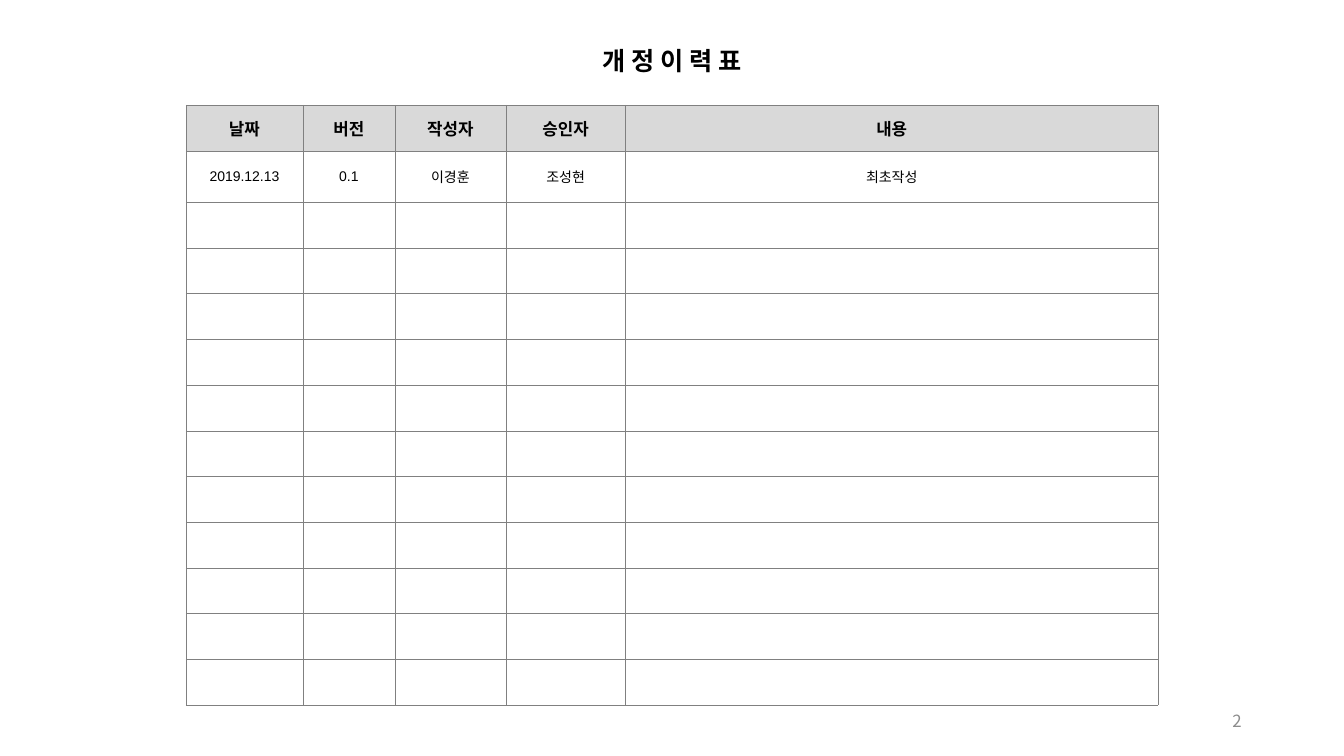
from lxml import etree
from pptx import Presentation
from pptx.dml.color import RGBColor
from pptx.enum import text
from pptx.oxml import ns
from pptx.util import Pt

HUES = {"ink": "000000", "head": "D9D9D9", "rule": "808080", "page": "8C8C8C"}
SANS = "Noto Sans CJK KR"
ALIGN = text.PP_ALIGN


def write(frame, words, size=10, font=SANS, hue="ink", bold=False, align=ALIGN.CENTER):
    para = frame.paragraphs[0]
    para.alignment = align
    run = para.add_run()
    run.text = words
    run.font.size = Pt(size)
    run.font.bold = bold
    run.font.name = font
    run.font.color.rgb = RGBColor.from_string(HUES[hue])
    east = etree.SubElement(run._r.get_or_add_rPr(), ns.qn("a:ea"))
    east.set("typeface", SANS)


def border(cell):
    props = cell._tc.get_or_add_tcPr()
    for side in ("lnL", "lnR", "lnT", "lnB"):
        line = etree.SubElement(props, ns.qn(f"a:{side}"), w=str(Pt(0.25)))
        fill = etree.SubElement(line, ns.qn("a:solidFill"))
        etree.SubElement(fill, ns.qn("a:srgbClr"), val=HUES["rule"])


deck = Presentation()
deck.slide_width, deck.slide_height = Pt(960), Pt(540)
slide = deck.slides.add_slide(deck.slide_layouts[6])

# Revision table
heads = ["날짜", "버전", "작성자", "승인자", "내용"]
first = ["2019.12.13", "0.1", "이경훈", "조성현", "최초작성"]
rows = [heads, first] + [[""] * 5] * 11
wides = [83.6, 65.6, 79.4, 85.2, 380.8]
talls = [32.68, 36.6] + [32.68] * 11

table = slide.shapes.add_table(
    len(rows), len(heads), Pt(132.8), Pt(75.1), Pt(sum(wides)), Pt(sum(talls))
).table
table.first_row = table.horz_banding = False
for col, wide in zip(table.columns, wides):
    col.width = Pt(wide)
for row, tall in zip(table.rows, talls):
    row.height = Pt(tall)

for r, row in enumerate(rows):
    for c, words in enumerate(row):
        cell = table.cell(r, c)
        cell.margin_left = cell.margin_right = Pt(2.8)
        cell.margin_top = cell.margin_bottom = Pt(2.8)
        cell.vertical_anchor = text.MSO_ANCHOR.MIDDLE
        border(cell)
        if r == 0:
            cell.fill.solid()
            cell.fill.fore_color.rgb = RGBColor.from_string(HUES["head"])
        else:
            cell.fill.background()
        write(cell.text_frame, words, size=10 if r else 12, font="Arial", bold=r == 0)

# Title
title = slide.shapes.add_textbox(Pt(90), Pt(28.8), Pt(780), Pt(29)).text_frame
title.word_wrap = True
title.auto_size = text.MSO_AUTO_SIZE.SHAPE_TO_FIT_TEXT
write(title, "개 정 이 력 표", size=18, bold=True)

# Page number
page = slide.shapes.add_textbox(Pt(678), Pt(500.5), Pt(216), Pt(28.8)).text_frame
page.word_wrap = True
page.vertical_anchor = text.MSO_ANCHOR.MIDDLE
write(page, "2", size=12, hue="page", align=ALIGN.RIGHT)

deck.save("out.pptx")
